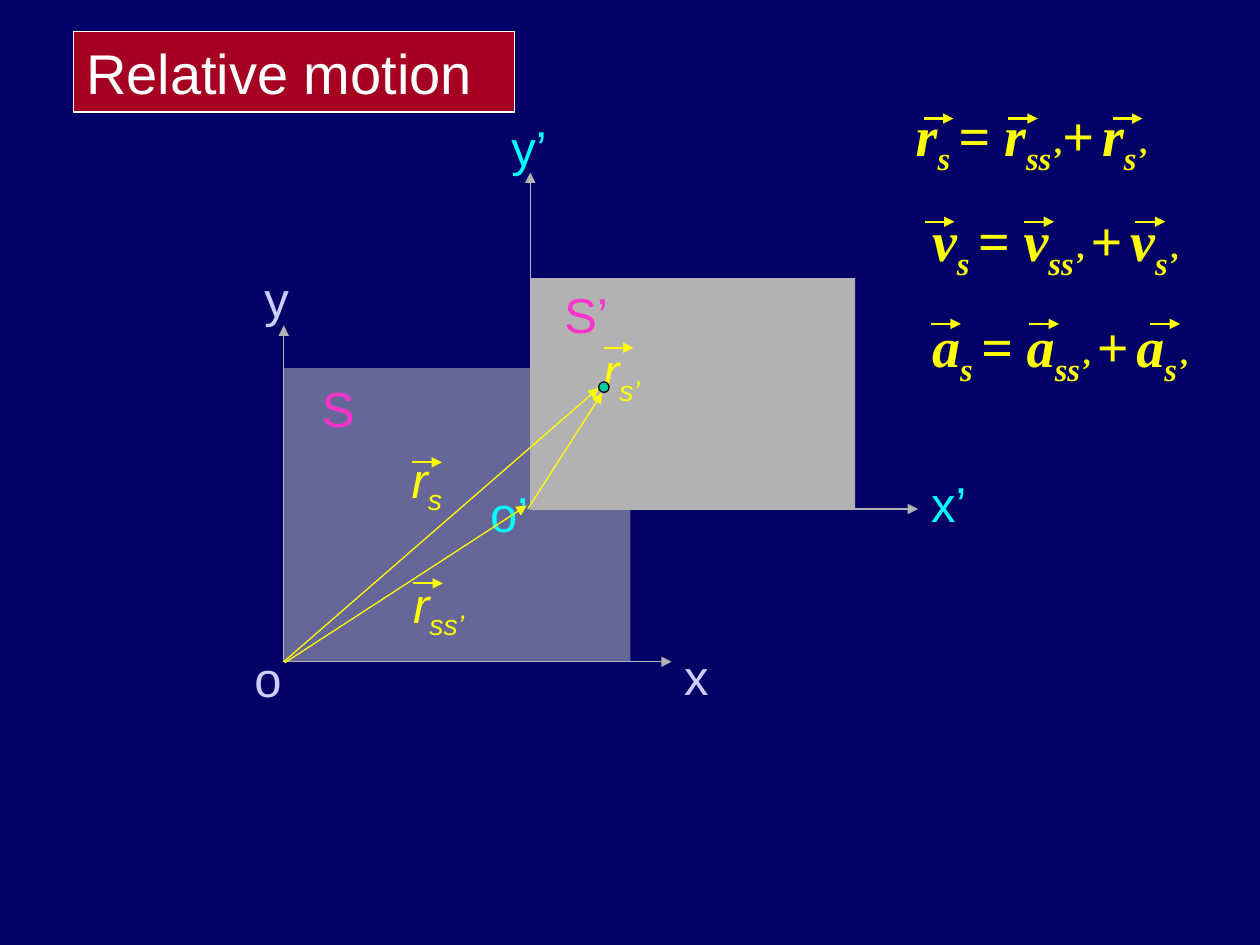
from lxml.etree import SubElement
from pptx import Presentation
from pptx.dml.color import RGBColor
from pptx.enum.shapes import MSO_CONNECTOR as Connector, MSO_SHAPE as Shape
from pptx.enum.text import MSO_ANCHOR as Anchor, MSO_AUTO_SIZE as AutoSize, PP_ALIGN as Align
from pptx.oxml.ns import qn
from pptx.util import Cm, Pt

COLORS = {
    "background": "000066", "title": "A50021", "white": "FFFFFF", "black": "000000",
    "frame_s": "666699", "frame_s2": "B2B2B2", "axis": "B2B2B2",
    "label_s": "CCCCFF", "label_s2": "00FFFF", "frame_name": "FF33CC",
    "vector": "FFFF00", "particle": "00CC99",
}
TITLE_FONT = {"name": "Arial", "size": Pt(32)}
LABEL_FONT = {"name": "Arial", "size": Pt(28)}
VECTOR_FONT = {**LABEL_FONT, "italic": True}
EQUATION_FONT = {"name": "Times New Roman", "size": Pt(32), "bold": True, "italic": True}

X_AXIS, Y_AXIS = 7.82, 6.78
OVERBAR = 0.6

# origin, width, height, fill, label colour, labels with their places
FRAMES = [
    ((5.72, 13.34), 6.99, 5.92, "frame_s", "label_s",
     {"x": (13.54, 12.9), "y": (5.08, 5.28), "o": (4.88, 12.95), "S": (6.24, 7.5)}),
    ((10.69, 10.26), 6.55, 4.65, "frame_s2", "label_s2",
     {"x’": (18.52, 9.42), "y’": (10.06, 2.24), "o’": (9.63, 9.63), "S’": (11.13, 5.61)}),
]
# start, end, subscript, label place, label width, overbar place
VECTORS = [
    ((10.64, 10.26), (12.14, 7.92), "s’", (11.91, 6.73), 1.65, (12.17, 7.01)),
    ((5.74, 13.36), (10.62, 10.19), "ss’", (8.08, 11.46), 2.97, (8.33, 11.76)),
    ((5.72, 13.34), (12.07, 7.82), "s", (8.05, 8.94), 2.97, (8.31, 9.32)),
]
# symbol, middle subscript, place, overbar height, overbar starts
EQUATIONS = [
    ("r", "ss’", (18.21, 1.9), 2.39, (18.62, 20.32, 22.43)),
    ("v", "ss’ ", (18.54, 4.01), 4.47, (18.64, 20.65, 22.89)),
    ("a", "ss’ ", (18.54, 6.15), 6.53, (18.77, 20.75, 23.19)),
]


def rgb(color):
    return RGBColor.from_string(COLORS[color])


def paint(shape, fill, line=None):
    shape.fill.solid()
    shape.fill.fore_color.rgb = rgb(fill)
    if line:
        shape.line.color.rgb = rgb(line)
        shape.line.width = Pt(0.75)
    else:
        shape.line.fill.background()


def add_run(paragraph, text, font, color, subscript=False):
    run = paragraph.add_run()
    run.text = text
    for name, value in font.items():
        setattr(run.font, name, value)
    run.font.color.rgb = rgb(color)
    if subscript:
        run._r.get_or_add_rPr().set("baseline", "-25000")


def add_text(slide, place, width, height, parts, font, color):
    """Write parts in one line, every second part as a subscript."""
    box = slide.shapes.add_textbox(*map(Cm, (*place, width, height)))
    frame = box.text_frame
    frame.word_wrap = True
    frame.auto_size = AutoSize.SHAPE_TO_FIT_TEXT
    for index, part in enumerate(parts):
        add_run(frame.paragraphs[0], part, font, color, index % 2 == 1)


def add_arrow(slide, start, end, color, width=0.75):
    arrow = slide.shapes.add_connector(Connector.STRAIGHT, *map(Cm, (*start, *end)))
    arrow.line.color.rgb = rgb(color)
    arrow.line.width = Pt(width)
    SubElement(arrow.line._get_or_add_ln(), qn("a:tailEnd"), type="triangle")
    SubElement(arrow._element.spPr, qn("a:effectLst"))


def add_overbar(slide, x, y):
    add_arrow(slide, (x, y), (x + OVERBAR, y), "vector", 1.25)


def add_shape(slide, kind, place, width, height, fill, line=None):
    shape = slide.shapes.add_shape(kind, *map(Cm, (*place, width, height)))
    shape.shadow.inherit = False
    paint(shape, fill, line)


def add_title(slide, text):
    title = slide.shapes.title
    title.left, title.top, title.width, title.height = map(Cm, (1.48, 0.64, 8.89, 1.62))
    paint(title, "title", "white")
    frame = title.text_frame
    frame.word_wrap = True
    frame.auto_size = AutoSize.NONE
    frame.vertical_anchor = Anchor.TOP
    frame.paragraphs[0].alignment = Align.LEFT
    add_run(frame.paragraphs[0], text, TITLE_FONT, "white")


def add_frame(slide, origin, width, height, fill, color, labels):
    """Draw a reference frame: its area, two axes and labels."""
    x, y = origin
    add_shape(slide, Shape.RECTANGLE, (x, y - height), width, height, fill)
    add_arrow(slide, origin, (x + X_AXIS, y), "axis")
    add_arrow(slide, origin, (x, y - Y_AXIS), "axis")
    for label, place in labels.items():
        label_color = "frame_name" if label.startswith("S") else color
        add_text(slide, place, 1.47, 1.45, [label], LABEL_FONT, label_color)


def add_vector(slide, start, end, subscript, place, width, overbar):
    add_arrow(slide, start, end, "vector")
    add_text(slide, place, width, 1.6, ["r", subscript], VECTOR_FONT, "vector")
    add_overbar(slide, *overbar)


def add_equation(slide, symbol, middle, place, bar_y, bar_starts):
    parts = [symbol, "s ", f"= {symbol}", middle, "+", " ", symbol, "s’"]
    add_text(slide, place, 6.15, 1.8, parts, EQUATION_FONT, "vector")
    for bar_x in bar_starts:
        add_overbar(slide, bar_x, bar_y)


def main():
    deck = Presentation()
    deck.slide_width, deck.slide_height = Cm(25.4), Cm(19.05)
    slide = deck.slides.add_slide(deck.slide_layouts.get_by_name("Title Only"))
    slide.background.fill.solid()
    slide.background.fill.fore_color.rgb = rgb("background")

    add_title(slide, "Relative motion")
    for frame in FRAMES:
        add_frame(slide, *frame)
    for vector in VECTORS:
        add_vector(slide, *vector)
    add_shape(slide, Shape.OVAL, (12.07, 7.7), 0.21, 0.21, "particle", "black")
    for equation in EQUATIONS:
        add_equation(slide, *equation)
    deck.save("out.pptx")


if __name__ == "__main__":
    main()
